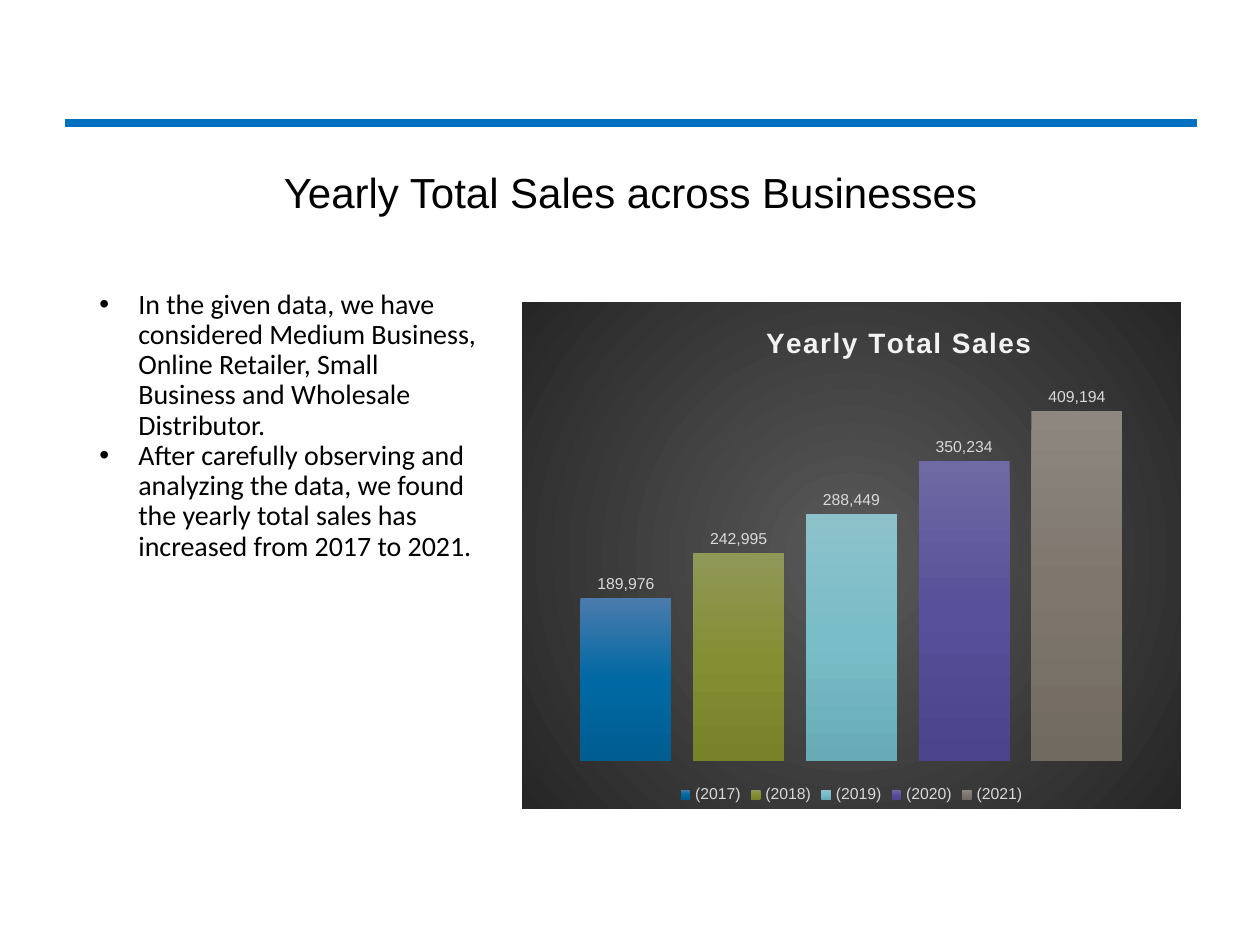
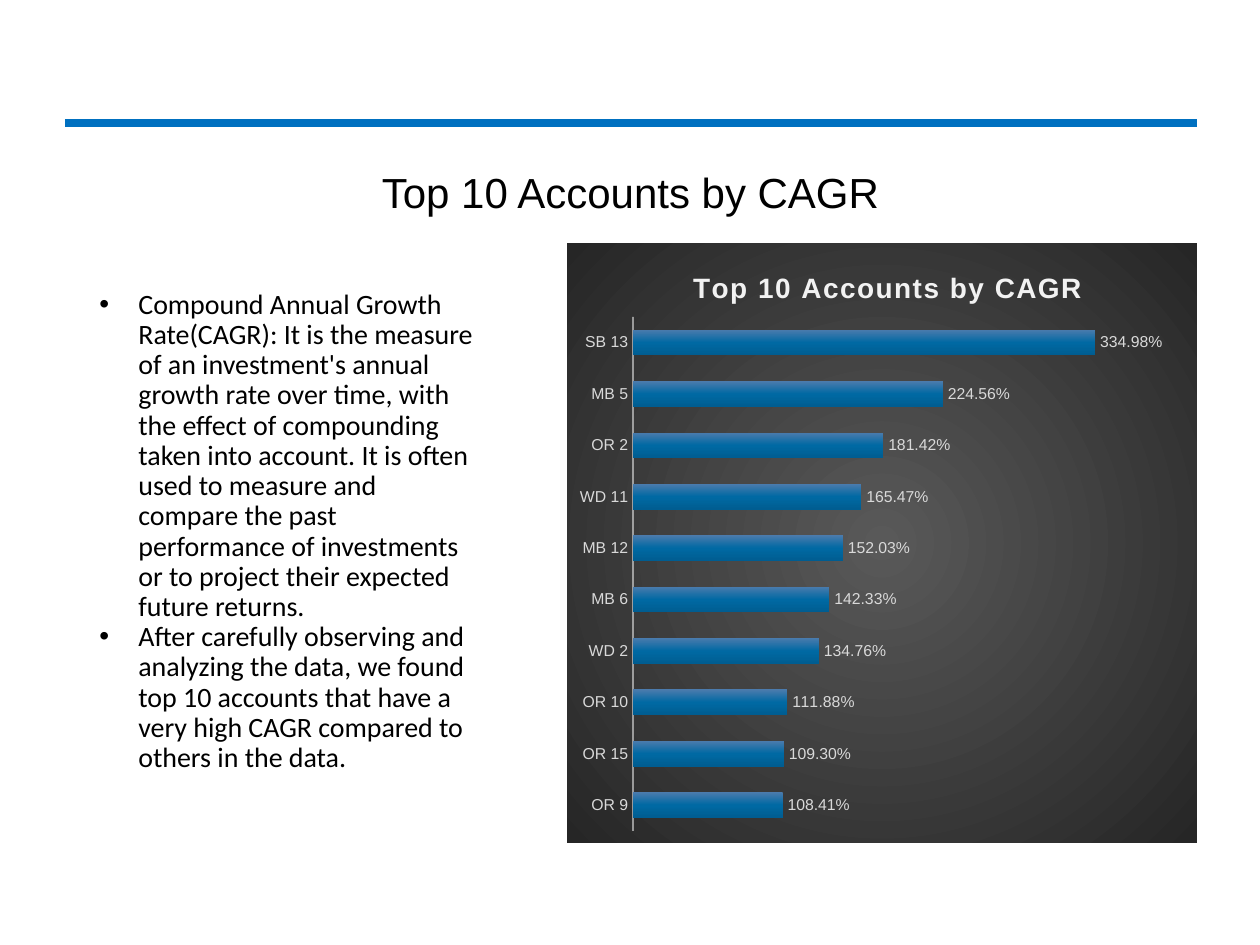
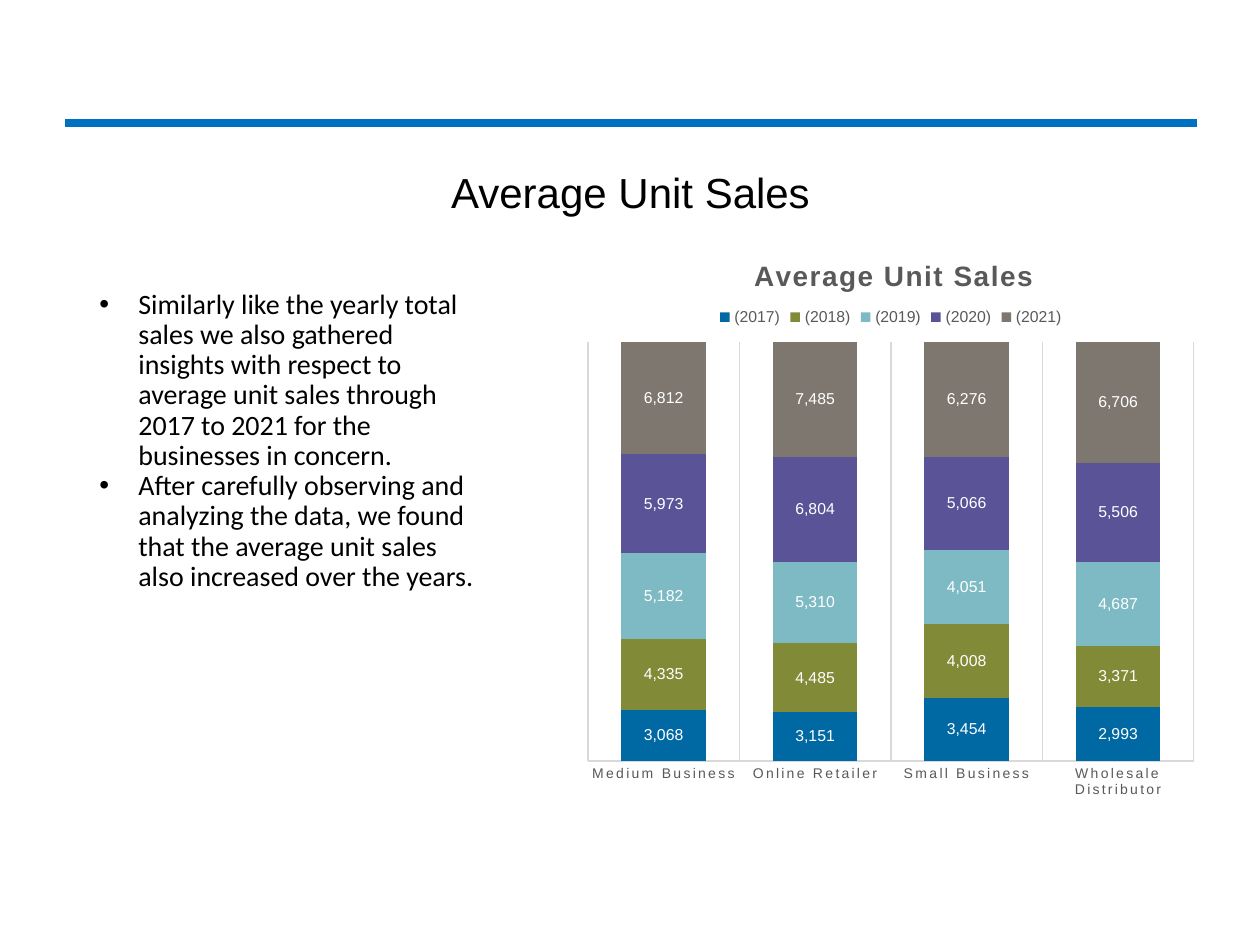
from pptx import Presentation
from pptx.chart.data import CategoryChartData
from pptx.dml.color import RGBColor
from pptx.enum.chart import XL_CHART_TYPE, XL_LABEL_POSITION, XL_LEGEND_POSITION, XL_TICK_LABEL_POSITION, XL_TICK_MARK
from pptx.enum.shapes import MSO_CONNECTOR
from pptx.enum.text import MSO_ANCHOR, PP_ALIGN
from pptx.oxml import parse_xml
from pptx.oxml.ns import nsdecls, qn
from pptx.util import Pt

SCALE = 914400 / 126
COLORS = {
    "rule": "0070C0", "text": "000000", "chart_text": "595959", "grid": "D9D9D9",
    "light": "D9D9D9", "bright": "F2F2F2", "white": "FFFFFF",
    "back_center": "595959", "back_edge": "262626",
}
YEARS = ["(2017)", "(2018)", "(2019)", "(2020)", "(2021)"]
YEAR_FLAT = ["0069A3", "818A37", "7DBAC4", "5A5397", "7E776F"]
YEAR_GRADIENTS = [
    ("4B7BAD", "0069A3", "005D91"), ("909858", "848E33", "788229"),
    ("8DC2CB", "79BDC8", "68ABB6"), ("6F6AA3", "57509A", "4B448C"),
    ("8D8780", "7F776E", "716A61"),
]
RULE = (65, 123, 1197)
TITLE_BOX = (204, 160, 853, 69)
BODY_BOX = (87, 284, 407, 525)
INDENT = 39


def px(length):
    return round(length * SCALE)


def rgb(name):
    return RGBColor.from_string(COLORS.get(name, name))


def style_font(font, size, color, name="Arial", bold=False):
    for key, value in {"size": Pt(size), "name": name, "bold": bold}.items():
        setattr(font, key, value)
    font.color.rgb = rgb(color)


def gradient(colors, direction):
    last = len(colors) - 1
    stops = "".join(
        f'<a:gs pos="{100000 * i // last}"><a:srgbClr val="{color}"/></a:gs>'
        for i, color in enumerate(colors))
    return f'<a:gradFill {nsdecls("a")}><a:gsLst>{stops}</a:gsLst>{direction}</a:gradFill>'


def add_rule(slide, box):
    left, top, right = box
    rule = slide.shapes.add_connector(MSO_CONNECTOR.STRAIGHT, px(left), px(top), px(right), px(top))
    rule.line.color.rgb = rgb("rule")
    rule.line.width = Pt(4.5)
    rule._element.spPr.append(parse_xml(f'<a:effectLst {nsdecls("a")}/>'))


def add_text(slide, box, texts, size, font_name, frame_format, align, bullets=False):
    frame = slide.shapes.add_textbox(*map(px, box)).text_frame
    frame.word_wrap = True
    for key, value in frame_format.items():
        setattr(frame, key, value)
    for i, text in enumerate(texts):
        paragraph = frame.add_paragraph() if i else frame.paragraphs[0]
        paragraph.alignment = align
        paragraph.line_spacing = 0.9
        run = paragraph.add_run()
        run.text = text
        style_font(run.font, size, "text", font_name)
        if bullets:
            properties = paragraph._p.get_or_add_pPr()
            properties.set("marL", str(px(INDENT)))
            properties.set("indent", str(-px(INDENT)))
            properties.append(parse_xml(f'<a:buFont {nsdecls("a")} typeface="Arial"/>'))
            properties.append(parse_xml(f'<a:buChar {nsdecls("a")} char="•"/>'))


def add_page(presentation, title, points):
    slide = presentation.slides.add_slide(presentation.slide_layouts[6])
    add_rule(slide, RULE)
    add_text(slide, TITLE_BOX, [title], 24, "Arial",
             {"vertical_anchor": MSO_ANCHOR.MIDDLE, "margin_left": 0, "margin_right": 0},
             PP_ALIGN.CENTER)
    add_text(slide, BODY_BOX, points, 16, "Calibri", {}, PP_ALIGN.LEFT, bullets=True)
    return slide


def place(element, index, part, box):
    for old in element.findall(qn("c:layout")):
        element.remove(old)
    sizes = (box[2], box[3]) * 2
    target = '<c:layoutTarget val="inner"/>' if len(part) == 4 else ""
    modes = '<c:xMode val="edge"/><c:yMode val="edge"/>'
    values = "".join(f'<c:{key} val="{length / size:.4f}"/>'
                     for key, length, size in zip("xywh", part, sizes))
    element.insert(index, parse_xml(
        f'<c:layout {nsdecls("c")}><c:manualLayout>{target}{modes}{values}'
        '</c:manualLayout></c:layout>'))


def add_chart(slide, box, kind, categories, series, number_format, gap, overlap, plot_box):
    data = CategoryChartData(number_format=number_format)
    data.categories = categories
    for name, values in series:
        data.add_series(name, values)
    chart = slide.shapes.add_chart(kind, *map(px, box), data).chart
    style_font(chart.font, 10, "text")
    plot = chart.plots[0]
    for key, value in {"gap_width": gap, "overlap": overlap, "vary_by_categories": False}.items():
        setattr(plot, key, value)
    chart.has_legend = False
    chart.value_axis.visible = False
    chart.value_axis.has_major_gridlines = False
    chart.value_axis.minimum_scale = 0
    place(chart.element.find(".//" + qn("c:plotArea")), 0, plot_box, box)
    return chart


def add_chart_title(chart, box, text, color, corner, overlay=False):
    title = chart.chart_title
    run = title.text_frame.paragraphs[0].add_run()
    run.text = text
    style_font(run.font, 16, color, bold=True)
    run._r.get_or_add_rPr().set("spc", "100")
    place(title._element, 1, corner, box)
    title._element.find(qn("c:overlay")).set("val", str(int(overlay)))


def add_legend(chart, position, color):
    chart.has_legend = True
    chart.legend.position = position
    chart.legend.include_in_layout = False
    style_font(chart.legend.font, 9, color)


def style_series(chart, colors, label_color, position, number_format):
    for series, color in zip(chart.plots[0].series, colors):
        fill = series.format.fill
        fill.solid()
        series.invert_if_negative = False
        if isinstance(color, str):
            fill.fore_color.rgb = rgb(color)
        else:
            solid = series._element.find(".//" + qn("a:solidFill"))
            solid.getparent().replace(solid, parse_xml(
                gradient(color, '<a:lin ang="5400000" scaled="0"/>')))
        labels = series.data_labels
        for key, value in {"show_value": True, "position": position,
                           "number_format": number_format,
                           "number_format_is_linked": False}.items():
            setattr(labels, key, value)
        style_font(labels.font, 9, label_color)


def darken(chart):
    circle = ('<a:path path="circle"><a:fillToRect l="50000" t="50000" r="50000" b="50000"/>'
              '</a:path>')
    fill = gradient((COLORS["back_center"], COLORS["back_edge"]), circle)
    chart.element.find(qn("c:chart")).addnext(parse_xml(
        f'<c:spPr {nsdecls("c", "a")}>{fill}<a:ln><a:noFill/></a:ln></c:spPr>'))


def style_category_axis(axis, size, color, line_color, line_width):
    axis.major_tick_mark = XL_TICK_MARK.NONE
    axis.tick_label_position = XL_TICK_LABEL_POSITION.NEXT_TO_AXIS
    style_font(axis.tick_labels.font, size, color)
    axis.format.line.color.rgb = rgb(line_color)
    axis.format.line.width = Pt(line_width)


def add_yearly_chart(slide, box):
    series = list(zip(YEARS, [[189976], [242995], [288449], [350234], [409194]]))
    chart = add_chart(slide, box, XL_CHART_TYPE.COLUMN_CLUSTERED, ["1"], series,
                      "#,##0", 100, -24, (13, 74, 633, 385))
    chart.value_axis.maximum_scale = 450000
    chart.category_axis.visible = False
    add_chart_title(chart, box, "Yearly Total Sales", "bright", (239, 18), overlay=True)
    add_legend(chart, XL_LEGEND_POSITION.BOTTOM, "light")
    style_series(chart, YEAR_GRADIENTS, "light", XL_LABEL_POSITION.OUTSIDE_END, "#,##0")
    darken(chart)


def add_growth_chart(slide, box):
    growth = {
        "SB 13": 3.3498, "MB 5": 2.2456, "OR 2": 1.8142, "WD 11": 1.6547, "MB 12": 1.5203,
        "MB 6": 1.4233, "WD 2": 1.3476, "OR 10": 1.1188, "OR 15": 1.093, "OR 9": 1.0841,
    }
    chart = add_chart(slide, box, XL_CHART_TYPE.BAR_CLUSTERED, list(growth),
                      [("Series 1", list(growth.values()))],
                      "0.00%", 100, 0, (66, 74, 552, 514))
    chart.value_axis.maximum_scale = 4
    axis = chart.category_axis
    axis.reverse_order = True
    style_category_axis(axis, 9, "light", "bright", 1)
    line_color = axis._element.find(qn("c:spPr")).find(".//" + qn("a:srgbClr"))
    line_color.append(parse_xml(f'<a:alpha {nsdecls("a")} val="54000"/>'))
    add_chart_title(chart, box, "Top 10 Accounts by CAGR", "bright", (121, 22))
    style_series(chart, YEAR_GRADIENTS, "light", XL_LABEL_POSITION.OUTSIDE_END, "0.00%")
    darken(chart)


def add_unit_chart(slide, box):
    businesses = ["Medium Business", "Online Retailer", "Small Business", "Wholesale Distributor"]
    units = [
        (3068, 3151, 3454, 2993), (4335, 4485, 4008, 3371), (5182, 5310, 4051, 4687),
        (5973, 6804, 5066, 5506), (6812, 7485, 6276, 6706),
    ]
    chart = add_chart(slide, box, XL_CHART_TYPE.COLUMN_STACKED_100, businesses,
                      list(zip(YEARS, units)), "#,##0", 79, 100, (12, 114, 606, 419))
    axis = chart.category_axis
    style_category_axis(axis, 8, "chart_text", "grid", 0.75)
    axis._element.find(".//" + qn("a:defRPr")).set("spc", "120")
    axis.has_major_gridlines = True
    axis.major_gridlines.format.line.color.rgb = rgb("grid")
    axis.major_gridlines.format.line.width = Pt(0.75)
    add_chart_title(chart, box, "Average Unit Sales", "chart_text", (173, 25))
    add_legend(chart, XL_LEGEND_POSITION.TOP, "chart_text")
    place(chart.legend._element, 1, (139, 75), box)
    style_series(chart, YEAR_FLAT, "white", XL_LABEL_POSITION.CENTER, "#,##0")


PAGES = [
    ("Yearly Total Sales across Businesses", [
        "In the given data, we have considered Medium Business, Online Retailer, Small Business "
        "and Wholesale Distributor.",
        "After carefully observing and analyzing the data, we found the yearly total sales has "
        "increased from 2017 to 2021.",
    ], add_yearly_chart, (522, 302, 659, 507)),
    ("Top 10 Accounts by CAGR", [
        "Compound Annual Growth Rate(CAGR): It is the measure of an investment's annual growth "
        "rate over time, with the effect of compounding taken into account. It is often used to "
        "measure and compare the past performance of investments or to project their expected "
        "future returns.",
        "After carefully observing and analyzing the data, we found top 10 accounts that have a "
        "very high CAGR compared to others in the data.",
    ], add_growth_chart, (567, 243, 630, 600)),
    ("Average Unit Sales", [
        "Similarly like the yearly total sales we also gathered insights with respect to average "
        "unit sales through 2017 to 2021 for the businesses in concern.",
        "After carefully observing and analyzing the data, we found that the average unit sales "
        "also increased over the years.",
    ], add_unit_chart, (576, 228, 630, 581)),
]

presentation = Presentation()
presentation.slide_width = px(1260)
presentation.slide_height = px(945)
for title, points, add_page_chart, box in PAGES:
    add_page_chart(add_page(presentation, title, points), box)
presentation.save("out.pptx")
